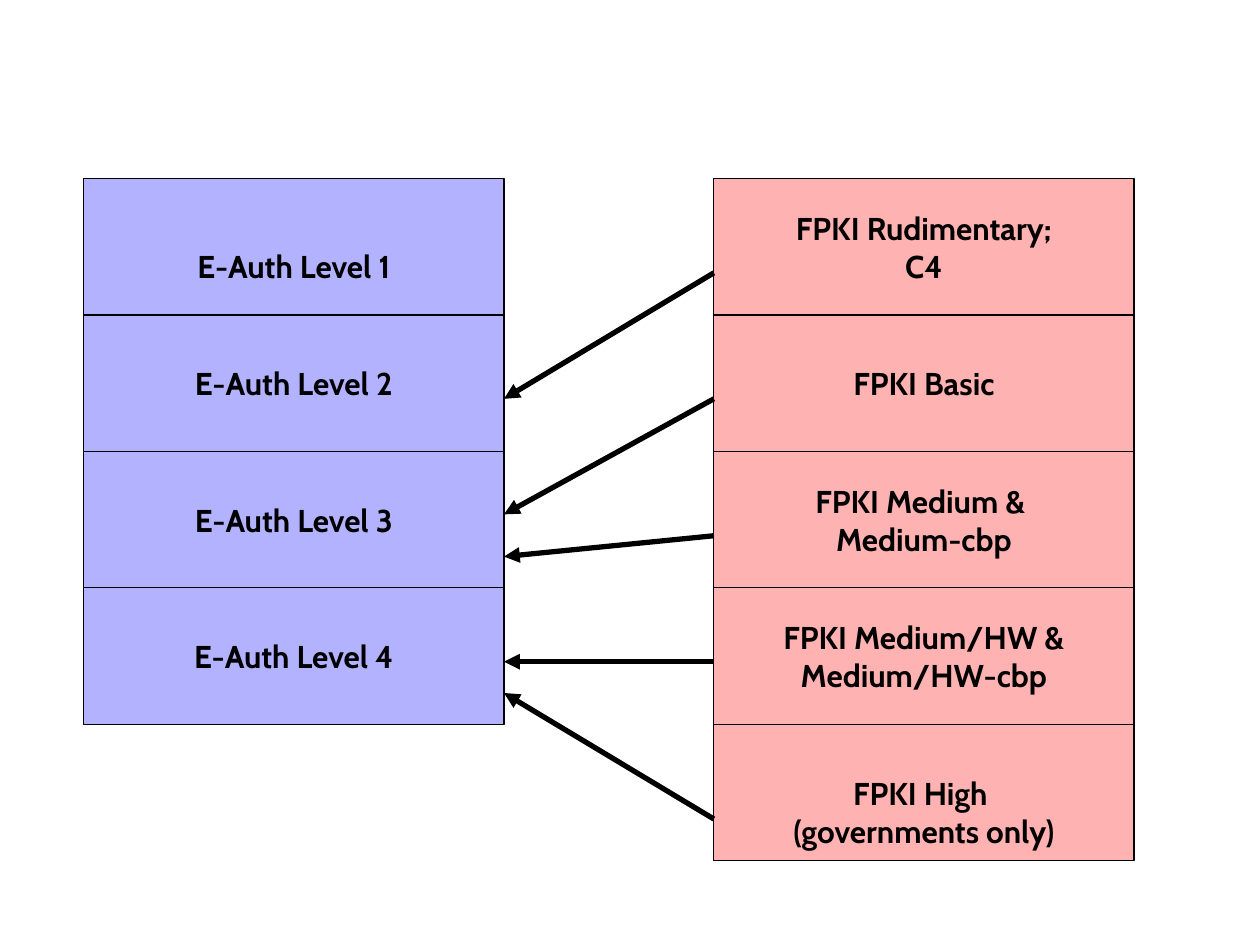
from lxml.etree import SubElement
from pptx import Presentation
from pptx.dml.color import RGBColor
from pptx.enum.shapes import MSO_CONNECTOR, MSO_SHAPE
from pptx.enum.text import MSO_ANCHOR, PP_ALIGN
from pptx.oxml.ns import qn
from pptx.util import Cm, Pt

COLORS = {"level": "0000FF", "policy": "FF0000", "ink": "000000"}
FONT = "Cabin"
TOP, ROW_HEIGHT, COLUMN_WIDTH = 3.6, 2.75, 8.47
LEVEL_LEFT, POLICY_LEFT = 1.69, 14.39
TOP_INSET, LOWERED_INSET = 0.13, 0.9

LEVELS = [[f"E-Auth Level {number}"] for number in range(1, 5)]
POLICIES = [
    ["FPKI Rudimentary;", "C4"],
    ["FPKI Basic"],
    ["FPKI Medium & ", "Medium-cbp"],
    ["FPKI Medium/HW &", "Medium/HW-cbp"],
    ["FPKI High ", "(governments only)"],
]
MAPPINGS = [(1.9, 4.44), (4.44, 6.77), (7.2, 7.62), (9.74, 9.74), (12.91, 10.37)]


def color(name):
    """Return the named palette colour."""
    return RGBColor.from_string(COLORS[name])


def write_lines(text_frame, lines, top_inset):
    """Write centred bold lines, one paragraph each."""
    text_frame.word_wrap = False
    text_frame.vertical_anchor = MSO_ANCHOR.MIDDLE
    text_frame.margin_top = Cm(top_inset)
    for index, line in enumerate(lines):
        paragraph = text_frame.add_paragraph() if index else text_frame.paragraphs[0]
        paragraph.alignment = PP_ALIGN.CENTER
        run = paragraph.add_run()
        run.text = line
        run.font.name = FONT
        run.font.size = Pt(18)
        run.font.bold = True
        run.font.color.rgb = color("ink")


def add_stack(slide, left, top, width, row_height, rows, fill, lowered_row):
    """Stack translucent boxes in a group, with one row's text set lower."""
    group = slide.shapes.add_group_shape()
    for index, lines in enumerate(rows):
        shape = group.shapes.add_shape(
            MSO_SHAPE.RECTANGLE,
            Cm(left), Cm(top + index * row_height), Cm(width), Cm(row_height),
        )
        shape.shadow.inherit = False
        shape.fill.solid()
        shape.fill.fore_color.rgb = color(fill)
        fill_color = shape.fill._xPr.find(qn("a:solidFill"))[0]
        SubElement(fill_color, qn("a:alpha"), val="30000")
        shape.line.color.rgb = color("ink")
        shape.line.width = Pt(0.75)
        inset = LOWERED_INSET if index == lowered_row else TOP_INSET
        write_lines(shape.text_frame, lines, inset)


def add_mappings(slide, left, top, width, mappings):
    """Draw arrows from the right edge of the gap to its left edge."""
    for start, end in mappings:
        arrow = slide.shapes.add_connector(
            MSO_CONNECTOR.STRAIGHT,
            Cm(left + width), Cm(top + start), Cm(left), Cm(top + end),
        )
        arrow.line.color.rgb = color("ink")
        arrow.line.width = Pt(3)
        SubElement(arrow.line._get_or_add_ln(), qn("a:tailEnd"), type="triangle")
        SubElement(arrow._element.spPr, qn("a:effectLst"))


def main():
    """Build the level mapping slide and save it."""
    presentation = Presentation()
    presentation.slide_width = Cm(25.4)
    presentation.slide_height = Cm(19.05)
    slide = presentation.slides.add_slide(presentation.slide_layouts[6])
    add_stack(slide, LEVEL_LEFT, TOP, COLUMN_WIDTH, ROW_HEIGHT, LEVELS, "level", 0)
    add_stack(slide, POLICY_LEFT, TOP, COLUMN_WIDTH, ROW_HEIGHT, POLICIES, "policy", 4)
    gap_left = LEVEL_LEFT + COLUMN_WIDTH
    add_mappings(slide, gap_left, TOP, POLICY_LEFT - gap_left, MAPPINGS)
    presentation.save("out.pptx")


if __name__ == "__main__":
    main()
